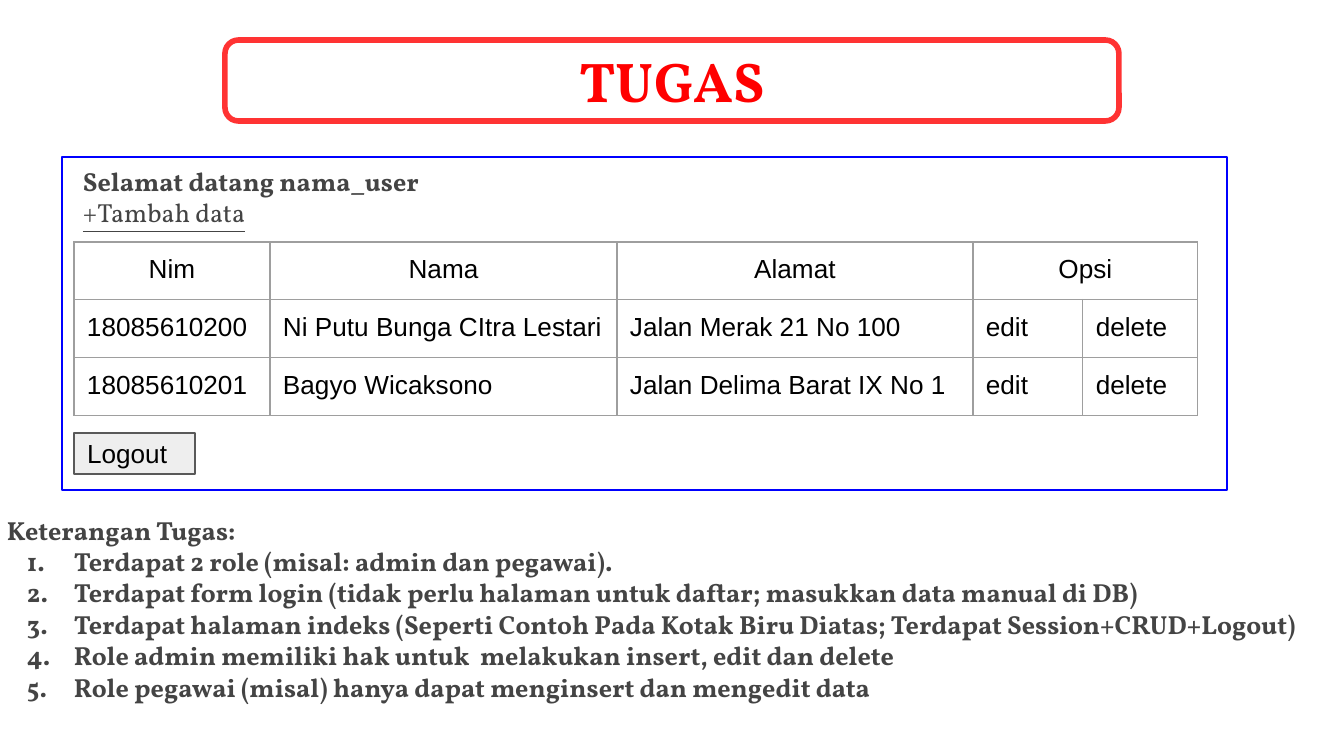
from lxml.etree import SubElement
from pptx import Presentation
from pptx.dml.color import RGBColor
from pptx.enum.shapes import MSO_SHAPE
from pptx.enum.text import MSO_ANCHOR, PP_ALIGN
from pptx.oxml.ns import qn
from pptx.util import Pt

TITLE = "TUGAS"
GREETING = "Selamat datang nama_user"
ADD_LINK = "+Tambah data"
HEADERS = ["Nim", "Nama", "Alamat", "Opsi", ""]
STUDENTS = [
    ["18085610200", "Ni Putu Bunga CItra Lestari", "Jalan Merak 21 No 100", "edit", "delete"],
    ["18085610201", "Bagyo Wicaksono", "Jalan Delima Barat IX No 1", "edit", "delete"],
]
LOGOUT = "Logout"
NOTES_HEADING = "Keterangan Tugas:"
TASKS = [
    "Terdapat 2 role (misal: admin dan pegawai).",
    "Terdapat form login (tidak perlu halaman untuk daftar; masukkan data manual di DB)",
    "Terdapat halaman indeks (Seperti Contoh Pada Kotak Biru Diatas; Terdapat Session+CRUD+Logout)",
    "Role admin memiliki hak untuk  melakukan insert, edit dan delete",
    "Role pegawai (misal) hanya dapat menginsert dan mengedit data",
]

COLORS = {"white": "FFFFFF", "red": "FF0000", "blue": "0000FF", "text": "444444",
          "black": "000000", "grid": "9E9E9E", "button": "EEEEEE", "button_edge": "595959"}
SERIF, SANS = "Vollkorn", "Arial"
SCALE = 914400 / 134.4
COL_WIDTHS = [196, 347, 356, 110, 115]
ROW_HEIGHTS = [57, 58, 58]
INSET = 13


def px(n):
    return round(n * SCALE)


def rgb(name):
    return RGBColor.from_string(COLORS[name])


def add_run(p, text, size=14, font=SERIF, color="text", bold=False, underline=None):
    r = p.add_run()
    r.text = text
    f = r.font
    f.size, f.name, f.bold, f.underline = Pt(size), font, bold, underline
    f.color.rgb = rgb(color)


def set_insets(tf, x=INSET, y=INSET):
    tf.margin_left = tf.margin_right = px(x)
    tf.margin_top = tf.margin_bottom = px(y)


def add_box(slide, kind, at, fill, line, width=0.75):
    s = slide.shapes.add_shape(kind, *map(px, at))
    s.shadow.inherit = False
    if fill:
        s.fill.solid()
        s.fill.fore_color.rgb = rgb(fill)
    else:
        s.fill.background()
    s.line.color.rgb = rgb(line)
    s.line.width = Pt(width)
    s.text_frame.vertical_anchor = MSO_ANCHOR.MIDDLE
    set_insets(s.text_frame)
    return s


def add_text(slide, at):
    tf = slide.shapes.add_textbox(*map(px, at)).text_frame
    tf.word_wrap = True
    set_insets(tf)
    return tf


def add_color(parent, name):
    return SubElement(parent, qn("a:srgbClr"), val=COLORS[name])


def number_paragraph(p):
    pPr = p._p.get_or_add_pPr()
    pPr.set("marL", str(px(67)))
    pPr.set("indent", str(px(-47)))
    add_color(SubElement(pPr, qn("a:buClr")), "text")
    SubElement(pPr, qn("a:buFont"), typeface=SERIF)
    SubElement(pPr, qn("a:buAutoNum"), type="arabicPeriod")


def set_borders(cell):
    tcPr = cell._tc.get_or_add_tcPr()
    for side in ("lnL", "lnR", "lnT", "lnB"):
        ln = SubElement(tcPr, qn(f"a:{side}"), w=str(Pt(0.75)))
        add_color(SubElement(ln, qn("a:solidFill")), "grid")


def add_student_table(slide):
    rows = [HEADERS] + STUDENTS
    table = slide.shapes.add_table(
        len(rows), len(HEADERS), px(74), px(242),
        px(sum(COL_WIDTHS)), px(sum(ROW_HEIGHTS))).table
    table.first_row = table.horz_banding = False
    for col, w in zip(table.columns, COL_WIDTHS):
        col.width = px(w)
    for row, h in zip(table.rows, ROW_HEIGHTS):
        row.height = px(h)
    table.cell(0, 3).merge(table.cell(0, 4))
    for i, row in enumerate(rows):
        for j, text in enumerate(row):
            cell = table.cell(i, j)
            set_borders(cell)
            cell.fill.background()
            set_insets(cell)
            if text:
                p = cell.text_frame.paragraphs[0]
                p.alignment = PP_ALIGN.LEFT if i else PP_ALIGN.CENTER
                add_run(p, text, font=SANS, color="black")


def main():
    prs = Presentation()
    prs.slide_width, prs.slide_height = px(1344), px(756)
    slide = prs.slides.add_slide(prs.slide_layouts[6])

    title = add_box(slide, MSO_SHAPE.ROUNDED_RECTANGLE, (225, 40, 894, 81), "white", "red", 3)
    SubElement(title.line.color._xFill.find(qn("a:srgbClr")), qn("a:alpha"), val="80000")
    set_insets(title.text_frame, 9, 5)
    p = title.text_frame.paragraphs[0]
    p.alignment = PP_ALIGN.CENTER
    add_run(p, TITLE, size=30, color="red", bold=True)

    tf = add_text(slide, (70, 152, 1206, 125))
    add_run(tf.paragraphs[0], GREETING, bold=True)
    add_run(tf.add_paragraph(), ADD_LINK, underline=True)

    add_student_table(slide)

    button = add_box(slide, MSO_SHAPE.RECTANGLE, (74, 433, 121, 41), "button", "button_edge")
    p = button.text_frame.paragraphs[0]
    p.alignment = PP_ALIGN.LEFT
    add_run(p, LOGOUT, font=SANS, color="black")

    tf = add_text(slide, (-6, 501, 1344, 206))
    add_run(tf.paragraphs[0], NOTES_HEADING, bold=True)
    for task in TASKS:
        p = tf.add_paragraph()
        p.alignment = PP_ALIGN.JUSTIFY
        number_paragraph(p)
        add_run(p, task, bold=True)

    add_box(slide, MSO_SHAPE.RECTANGLE, (62, 157, 1165, 333), None, "blue")
    prs.save("out.pptx")


if __name__ == "__main__":
    main()
